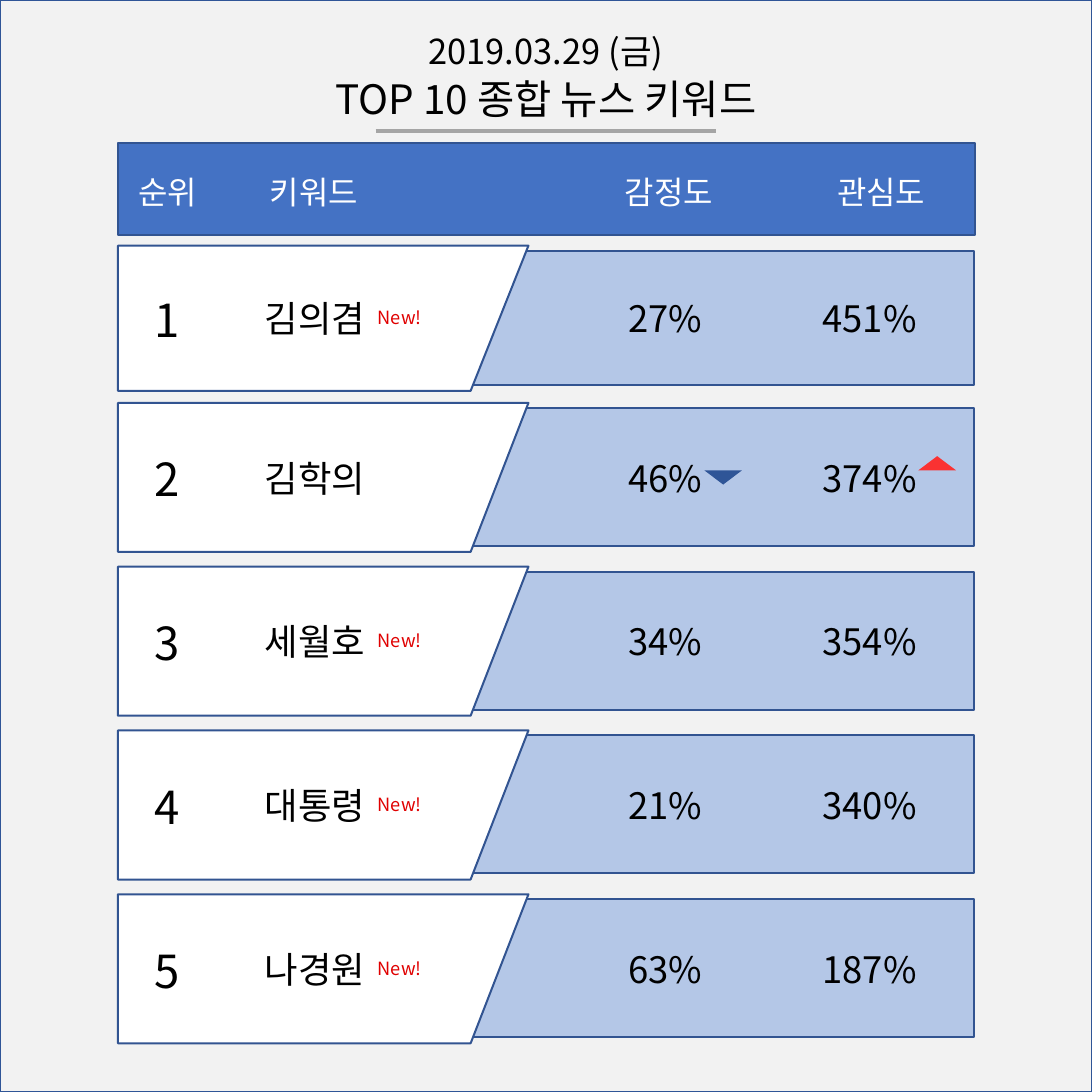
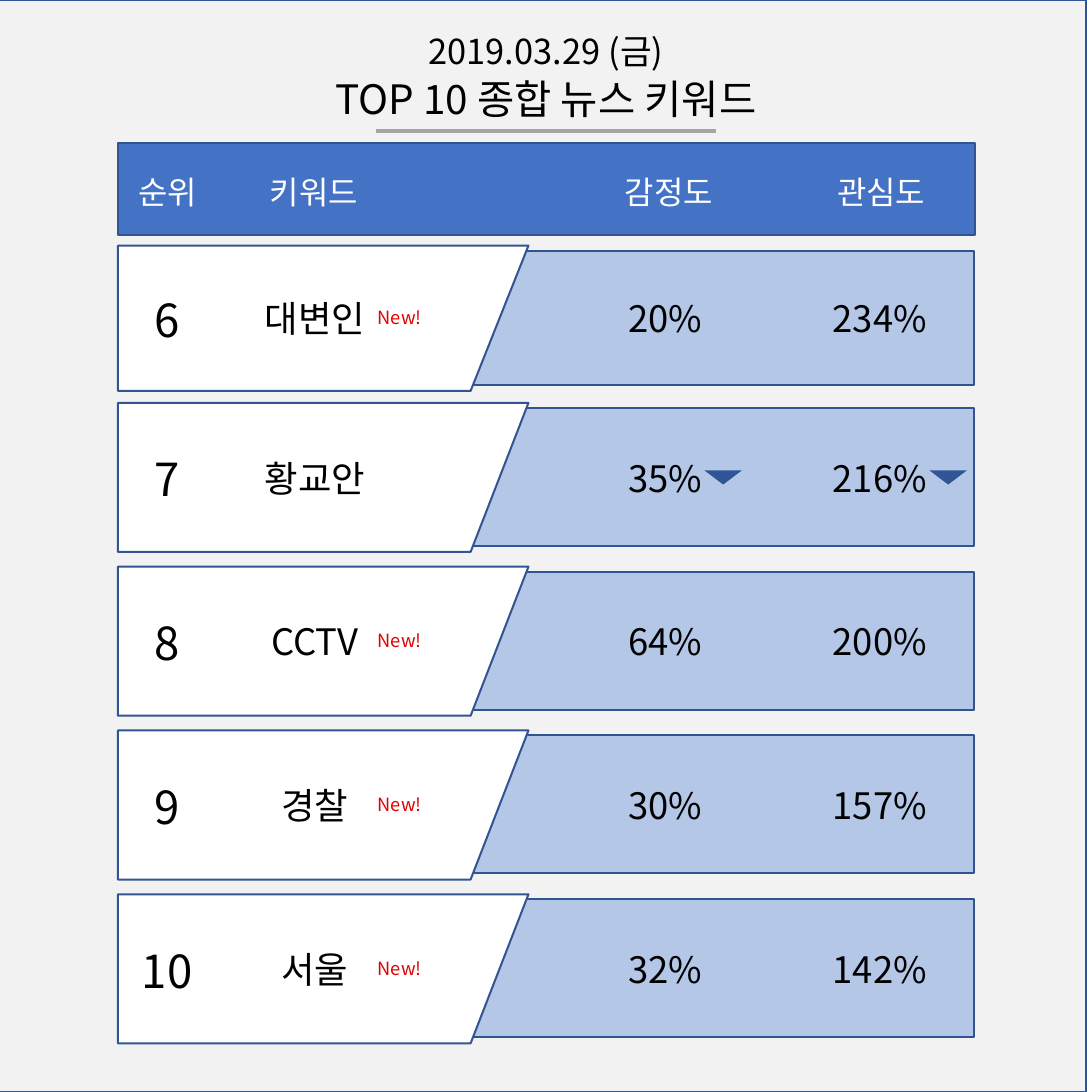
"""Build two slides that rank the ten top news keywords of the day."""
from lxml.etree import SubElement
from pptx import Presentation
from pptx.dml.color import RGBColor
from pptx.enum.shapes import MSO_CONNECTOR, MSO_SHAPE
from pptx.enum.text import MSO_ANCHOR, MSO_AUTO_SIZE, PP_ALIGN
from pptx.oxml.ns import qn
from pptx.util import Inches, Pt

FONT = "Noto Sans CJK KR"
BLACK = RGBColor(0x00, 0x00, 0x00)
WHITE = RGBColor(0xFF, 0xFF, 0xFF)
PAPER = RGBColor(0xF2, 0xF2, 0xF2)
GRAY = RGBColor(0xA5, 0xA5, 0xA5)
BLUE = RGBColor(0x44, 0x72, 0xC4)
PALE = RGBColor(0xB4, 0xC7, 0xE7)
EDGE = RGBColor(0x32, 0x54, 0x91)
NAVY = RGBColor(0x2F, 0x55, 0x97)
RED = RGBColor(0xFA, 0x32, 0x32)
BADGE = RGBColor(0xE0, 0x00, 0x00)

SIDE = Inches(7.5)
LEFT = 10.8
HEADS = [("순위", 15.35, 8.8), ("키워드", 28.75, 11.9),
         ("감정도", 61.25, 12.7), ("관심도", 80.7, 12.7)]
TOPS = [22.5] + [21.9 + 15 * row for row in range(1, 5)]
TALLS = [13.3] + [13.65] * 4

PAGES = [
    {"shift": 0, "align": PP_ALIGN.CENTER, "width": 21.9,
     "marks": [(64.5, 0, True, NAVY), (84.1, -1.3, False, RED)],
     "rows": [("1", "김의겸", "27%", "451%"), ("2", "김학의", "46%", "374%"),
              ("3", "세월호", "34%", "354%"), ("4", "대통령", "21%", "340%"),
              ("5", "나경원", "63%", "187%")]},
    {"shift": -0.5, "align": PP_ALIGN.RIGHT, "width": 17.5,
     "marks": [(64.5, 0, True, NAVY), (85.1, 0, True, NAVY)],
     "rows": [("6", "대변인", "20%", "234%"), ("7", "황교안", "35%", "216%"),
              ("8", "CCTV", "64%", "200%"), ("9", "경찰", "30%", "157%"),
              ("10", "서울", "32%", "142%")]},
]


def unit(*parts):
    """Turn percent shares of the slide's side into lengths."""
    return [round(SIDE * part / 100) for part in parts]


class Deck:
    """Hold the style and the current slide."""

    def __init__(self):
        """Start an empty square deck."""
        self.show = Presentation()
        self.show.slide_width = self.show.slide_height = SIDE

    def page(self, shift):
        """Add a slide with its framed backdrop."""
        self.slide = self.show.slides.add_slide(self.show.slide_layouts[0])
        self.shapes = self.slide.shapes
        back = self.box(shift, 0, 100, 100, PAPER, NAVY)
        self.shapes.element.insert(2, back.element)

    def paint(self, shape, fill, edge=None):
        """Set the fill and the outline of a shape."""
        shape.shadow.inherit = False
        shape.fill.solid()
        shape.fill.fore_color.rgb = fill
        if edge is None:
            shape.line.fill.background()
        else:
            shape.line.color.rgb = edge
            shape.line.width = Pt(1)
        return shape

    def box(self, x, y, wide, tall, fill, edge=EDGE):
        """Draw a filled rectangle."""
        shape = self.shapes.add_shape(MSO_SHAPE.RECTANGLE, *unit(x, y, wide, tall))
        return self.paint(shape, fill, edge)

    def tab(self, y, tall):
        """Draw the white tab with a slanted right side."""
        start, *rest = [unit(*point) for point in (
            (LEFT, y), (48.4, y), (43.1, y + tall), (LEFT, y + tall))]
        pen = self.shapes.build_freeform(*start)
        pen.add_line_segments(rest, close=True)
        self.paint(pen.convert_to_shape(), WHITE, EDGE)

    def mark(self, x, mid, down, color):
        """Draw a small triangle that shows a rise or a fall."""
        shape = self.shapes.add_shape(
            MSO_SHAPE.ISOSCELES_TRIANGLE, *unit(x, mid - 0.65, 3.45, 1.3))
        shape.rotation = 180 if down else 0
        self.paint(shape, color)

    def label(self, frame, text, size, color, align=PP_ALIGN.CENTER):
        """Fill a text frame with one styled line."""
        frame.word_wrap = True
        frame.auto_size = MSO_AUTO_SIZE.NONE
        line = frame.paragraphs[0]
        line.text = text
        line.alignment = align
        font = line.font
        font.name = FONT
        font.size = Pt(size)
        font.color.rgb = color
        props = line._p.pPr.find(qn("a:defRPr"))
        SubElement(props, qn("a:ea")).set("typeface", FONT)
        return line

    def text(self, text, x, mid, wide, tall, size, color=BLACK, align=PP_ALIGN.CENTER):
        """Add a text box centred on a height."""
        frame = self.shapes.add_textbox(*unit(x, mid - tall / 2, wide, tall)).text_frame
        frame.vertical_anchor = MSO_ANCHOR.MIDDLE
        self.label(frame, text, size, color, align)

    def holder(self, index, text, y, tall, size, anchor, space):
        """Place and fill a placeholder of the layout."""
        shape = self.slide.placeholders[index]
        shape.left, shape.top, shape.width, shape.height = unit(12.5, y, 75, tall)
        shape.text_frame.vertical_anchor = anchor
        line = self.label(shape.text_frame, text, size, BLACK)
        line.line_spacing = space
        return line

    def rule(self, x, y, end):
        """Draw the gray rule below the title."""
        line = self.shapes.add_connector(MSO_CONNECTOR.STRAIGHT, *unit(x, y, end, y))
        line.line.color.rgb = GRAY
        line.line.width = Pt(2.25)
        SubElement(line._element.spPr, qn("a:effectLst"))

    def header(self):
        """Add the title, the date and the column heads."""
        self.holder(0, "TOP 10 종합 뉴스 키워드", 6.4, 5.6, 20, MSO_ANCHOR.BOTTOM, 0.9)
        date = self.holder(1, "2019.03.29 (금)", 3.1, 4.4, 17, MSO_ANCHOR.TOP, 0.7)
        date.space_before = Pt(7.5)
        self.rule(34.4, 12, 65.6)
        self.box(LEFT, 13.1, 78.5, 8.4, BLUE)
        for text, mid, wide in HEADS:
            self.text(text, mid - wide / 2, 17.6, wide, 4.9, 15.8, WHITE)

    def row(self, y, tall, cells, align, wide, fresh):
        """Add one ranked keyword with its two values."""
        mid = y + tall / 2
        rank, word, mood, care = cells
        self.box(33.6, y + 0.45, 55.6, tall - 1, PALE)
        self.tab(y, tall)
        self.text(rank, 11.3, mid + 0.1, 8, 6.4, 22.5)
        self.text(word, 17.9, mid, 21.9, 5.3, 18)
        self.text(mood, 48.5, mid, 17.1, 5.3, 18, align=PP_ALIGN.RIGHT)
        self.text(care, 68.7, mid, wide, 5.3, 18, align=align)
        if fresh:
            self.text("New!", 32.9, mid - 0.1, 7.4, 3.3, 9, BADGE)


def main():
    """Build and save the deck."""
    deck = Deck()
    for page in PAGES:
        deck.page(page["shift"])
        deck.header()
        for row, (y, tall, cells) in enumerate(zip(TOPS, TALLS, page["rows"])):
            deck.row(y, tall, cells, page["align"], page["width"], row != 1)
        for x, lift, down, color in page["marks"]:
            deck.mark(x, TOPS[1] + TALLS[1] / 2 + lift, down, color)
    deck.show.save("out.pptx")


if __name__ == "__main__":
    main()
